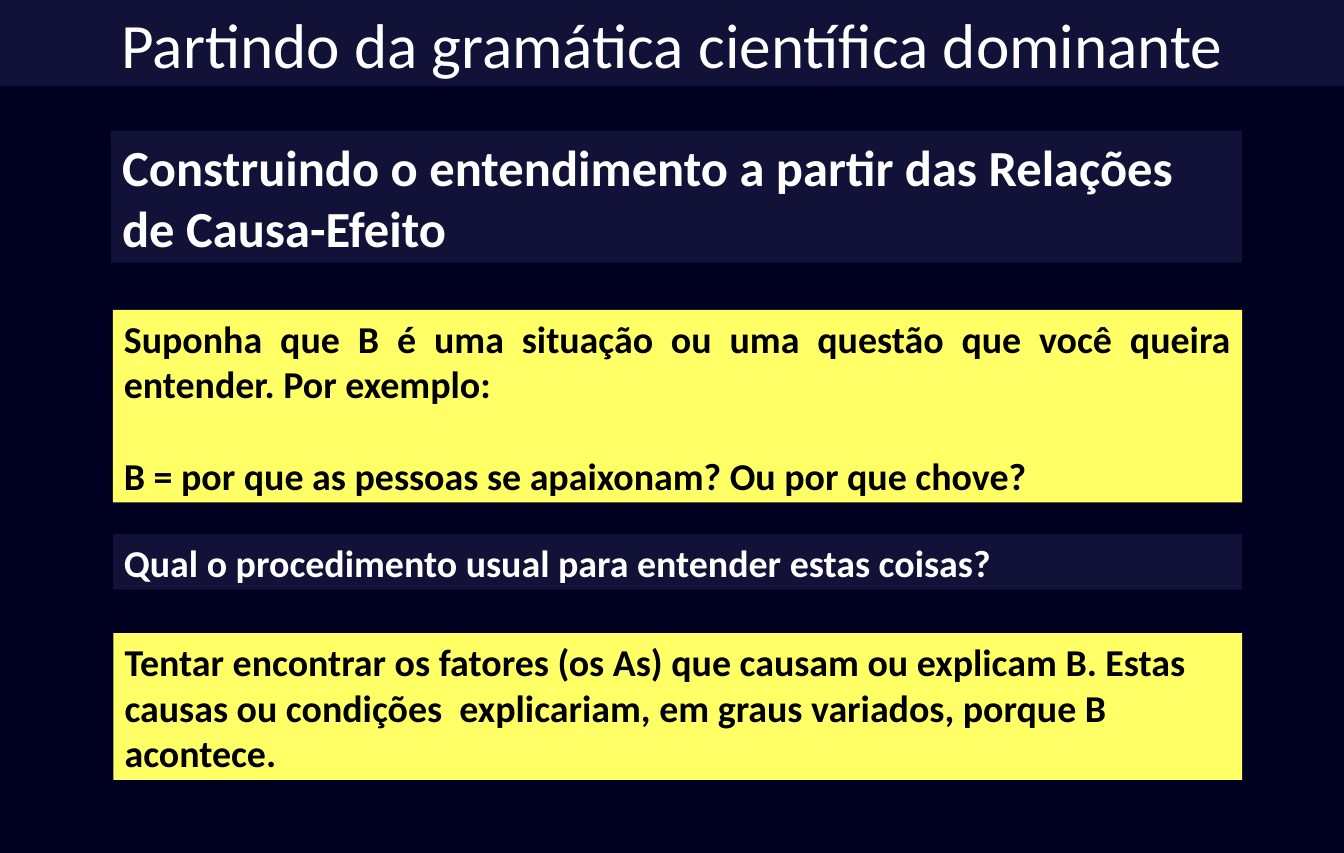
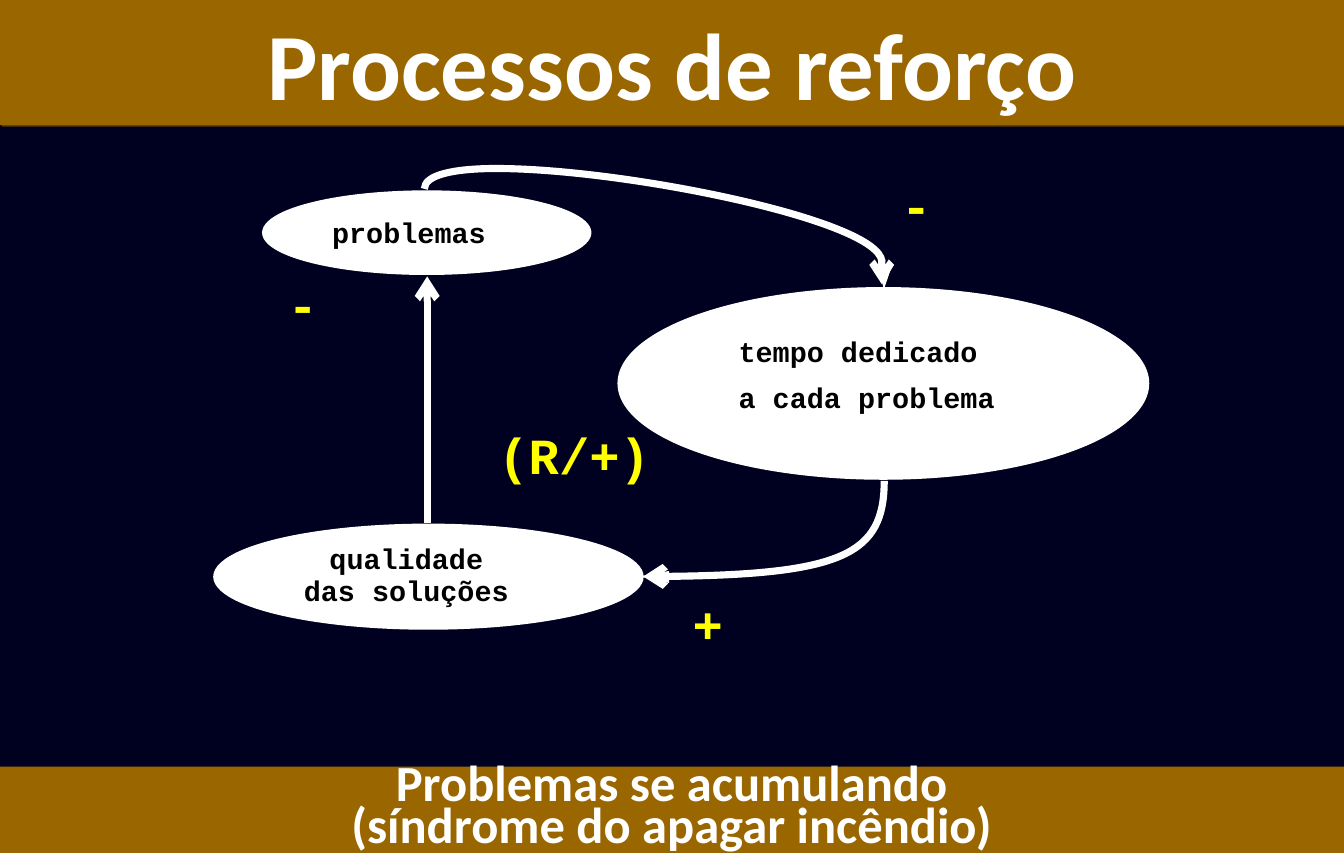
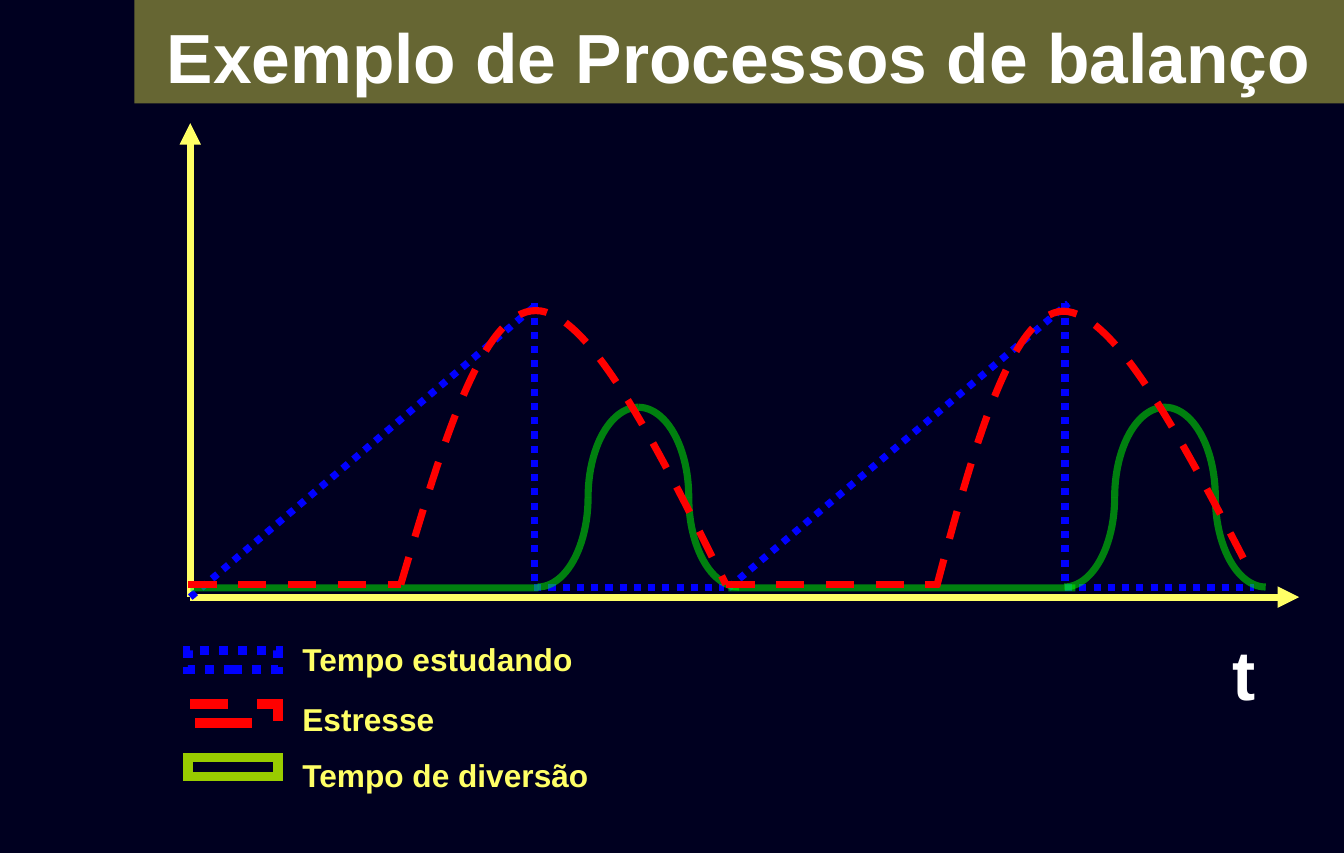
from dataclasses import dataclass

from lxml.etree import SubElement
from pptx import Presentation
from pptx.dml.color import RGBColor as RGB
from pptx.enum.dml import MSO_LINE as Dash
from pptx.enum.shapes import MSO_CONNECTOR as Connector, MSO_SHAPE as Shape
from pptx.enum.text import MSO_ANCHOR as Anchor, MSO_AUTO_SIZE as AutoSize, PP_ALIGN as Align
from pptx.oxml.ns import qn
from pptx.util import Pt


@dataclass(frozen=True)
class Theme:
    background: RGB = RGB(0x00, 0x00, 0x20)
    navy: RGB = RGB(0x12, 0x12, 0x38)
    brown: RGB = RGB(0x99, 0x66, 0x00)
    olive: RGB = RGB(0x66, 0x66, 0x33)
    cream: RGB = RGB(0xFF, 0xFF, 0x66)
    yellow: RGB = RGB(0xFF, 0xFF, 0x00)
    white: RGB = RGB(0xFF, 0xFF, 0xFF)
    black: RGB = RGB(0x00, 0x00, 0x00)
    blue: RGB = RGB(0x00, 0x00, 0xFF)
    red: RGB = RGB(0xFF, 0x00, 0x00)
    green: RGB = RGB(0x00, 0xFF, 0x00)
    lime: RGB = RGB(0x99, 0xCC, 0x00)
    title_shadow: str = "5B3C00"
    sans: str = "Calibri"
    mono: str = "Courier New"
    chart: str = "Arial"
    title: int = 40
    big_title: int = 60
    chart_title: int = 44
    heading: int = 32
    body: int = 24
    legend: int = 20
    node: int = 18
    stroke: float = 4.5
    swatch_stroke: int = 6


theme = Theme()
WIDTH, HEIGHT = 850.4, 540


def write(shape, text, font, size, color, fill=None, bold=True,
          align=Align.LEFT, anchor=Anchor.TOP, wrap=True):
    """Put formatted text in a shape, one paragraph per line, over an optional fill."""
    if fill is not None:
        shape.fill.solid()
        shape.fill.fore_color.rgb = fill
    frame = shape.text_frame
    frame.text = text
    frame.word_wrap = wrap
    frame.auto_size = AutoSize.NONE
    frame.vertical_anchor = anchor
    frame.margin_left = frame.margin_right = Pt(7)
    frame.margin_top = frame.margin_bottom = Pt(3.6)
    for paragraph in frame.paragraphs:
        paragraph.alignment = align
        for run in paragraph.runs:
            run.font.name = font
            run.font.size = Pt(size)
            run.font.bold = bold
            run.font.color.rgb = color


def draw_path(slide, points, color, dash=None, head=None, opacity=None):
    """Draw a straight line through two points, or a chain of cubic curves:
    start, then two controls and an end for each curve."""
    points = [(Pt(x), Pt(y)) for x, y in points]
    if len(points) == 2:
        path = slide.shapes.add_connector(Connector.STRAIGHT, *points[0], *points[1])
    else:
        builder = slide.shapes.build_freeform(*points[0])
        builder.add_line_segments(points[3::3], close=False)
        path = builder.convert_to_shape()
        path.fill.background()
        outline_path = path._element.spPr.find(".//" + qn("a:path"))
        for i, segment in enumerate(outline_path.findall(qn("a:lnTo"))):
            outline_path.remove(segment)
            curve = SubElement(outline_path, qn("a:cubicBezTo"))
            for x, y in points[3 * i + 1:3 * i + 4]:
                SubElement(curve, qn("a:pt"), x=str(x - path.left), y=str(y - path.top))
    path.line.color.rgb = color
    path.line.width = Pt(theme.stroke)
    if dash is not None:
        path.line.dash_style = dash
    properties = path._element.spPr
    outline = properties.find(qn("a:ln"))
    if opacity is not None:
        SubElement(outline.find(".//" + qn("a:srgbClr")), qn("a:alpha"), val=str(opacity * 1000))
    if head is not None:
        SubElement(outline, qn("a:tailEnd"), type=head)
    SubElement(properties, qn("a:effectLst"))


presentation = Presentation()
presentation.slide_width, presentation.slide_height = Pt(WIDTH), Pt(HEIGHT)
backdrop = presentation.slide_master.background.fill
backdrop.solid()
backdrop.fore_color.rgb = theme.background

# Slides and their title bands
TITLES = [
    ("Partindo da gramática científica dominante",
     0, 54.7, theme.navy, theme.sans, theme.title, False, 1),
    ("Processos de reforço", 0, 79.2, theme.brown, theme.sans, theme.big_title, True, 1),
    ("Exemplo de Processos de balanço",
     85, 65.5, theme.olive, theme.chart, theme.chart_title, True, 1.1),
]
slides = []
for text, left, height, fill, font, size, bold, spacing in TITLES:
    slide = presentation.slides.add_slide(presentation.slide_layouts[5])
    title = slide.shapes.title
    title.left, title.top = Pt(left), Pt(0)
    title.width, title.height = Pt(WIDTH - left), Pt(height)
    write(title, text, font, size, theme.white, fill, bold, Align.CENTER)
    title.text_frame.paragraphs[0].line_spacing = spacing
    slides.append(slide)
grammar, reinforcement, balance = slides

# Slide 1: question and answer panels
PANEL_RIGHT = 786
PANELS = [
    (70.3, 82.8, 83.5, "Construindo o entendimento a partir das Relações de Causa-Efeito",
     theme.heading, theme.white, theme.navy, Align.LEFT),
    (71.4, 196.2, 121.8, "Suponha que B é uma situação ou uma questão que você queira entender. "
     "Por exemplo:\nB = por que as pessoas se apaixonam? Ou por que chove?",
     theme.body, theme.black, theme.cream, Align.JUSTIFY),
    (71.4, 338, 35.3, "Qual o procedimento usual para entender estas coisas?",
     theme.body, theme.white, theme.navy, Align.LEFT),
    (71.8, 400.8, 92.9, "Tentar encontrar os fatores (os As) que causam ou explicam B. Estas "
     "causas ou condições  explicariam, em graus variados, porque B acontece.",
     theme.body, theme.black, theme.cream, Align.LEFT),
]
for left, top, height, text, size, color, fill, align in PANELS:
    panel = grammar.shapes.add_shape(
        Shape.RECTANGLE, Pt(left), Pt(top), Pt(PANEL_RIGHT - left), Pt(height))
    panel.shadow.inherit = False
    panel.line.fill.background()
    write(panel, text, theme.sans, size, color, fill, align=align)
    for paragraph in panel.text_frame.paragraphs[1:]:
        paragraph.space_before = Pt(29)

# Slide 2: reinforcing loop
band_shadow = SubElement(
    SubElement(reinforcement.shapes.title._element.spPr, qn("a:effectLst")),
    qn("a:outerShdw"), dist=str(Pt(1.4)), dir="2700000")
SubElement(band_shadow, qn("a:srgbClr"), val=theme.title_shadow)

conclusion = reinforcement.shapes.add_shape(
    Shape.RECTANGLE, Pt(0), Pt(485.3), Pt(WIDTH), Pt(54.7))
conclusion.shadow.inherit = False
conclusion.line.fill.background()
write(conclusion, "Problemas se acumulando\n(síndrome do apagar incêndio)", theme.sans,
      theme.heading, theme.white, theme.brown, align=Align.CENTER, anchor=Anchor.MIDDLE)
for paragraph in conclusion.text_frame.paragraphs:
    paragraph.line_spacing = 0.7

# text, box, alignment, left, right and bottom margins, line spacing, gap between lines
NODES = [
    ("problemas", (166.3, 121, 207.4, 52.6), Align.CENTER, 0, 22.5, 1.3, 1, 0),
    ("qualidade\ndas soluções", (135.4, 332, 271.4, 66.2), Align.CENTER, 0, 28, 1.3, 0.94, 0),
    ("tempo dedicado\na cada problema", (391.2, 182.2, 335.5, 121),
     Align.LEFT, 27, 0, 11.8, 1, 7.4),
]
for text, box, align, left, right, bottom, spacing, gap in NODES:
    node = reinforcement.shapes.add_shape(Shape.OVAL, *(Pt(v) for v in box))
    node.shadow.inherit = False
    node.line.color.rgb = theme.white
    node.line.width = Pt(1)
    write(node, text, theme.mono, theme.node, theme.black, theme.white,
          align=align, anchor=Anchor.MIDDLE)
    frame = node.text_frame
    frame.margin_left, frame.margin_right = Pt(left), Pt(right)
    frame.margin_top, frame.margin_bottom = Pt(0), Pt(bottom)
    for paragraph in frame.paragraphs:
        paragraph.line_spacing = spacing
    for paragraph in frame.paragraphs[1:]:
        paragraph.space_before = Pt(gap)

INFLUENCES = [
    [(268.5, 119.6), (268.5, 110.8), (287, 106.7), (314, 106.7),
     (395.4, 106.7), (558, 139.8), (558, 166), (558, 171), (558, 175), (558, 180)],
    [(559.5, 304.5), (559.5, 351), (531, 365), (407, 365)],
    [(270.3, 331), (270.3, 175)],
]
for points in INFLUENCES:
    draw_path(reinforcement, points, theme.white, head="arrow")

ARROW_TIPS = [
    [(564, 168), (559.4, 181.4), (556, 168)],
    [(423, 368.5), (407, 365), (423, 362)],
]
for corners in ARROW_TIPS:
    first, *others = [(Pt(x), Pt(y)) for x, y in corners]
    builder = reinforcement.shapes.build_freeform(*first)
    builder.add_line_segments(others)
    tip = builder.convert_to_shape()
    tip.shadow.inherit = False
    tip.fill.solid()
    tip.fill.fore_color.rgb = tip.line.color.rgb = theme.white
    tip.line.width = Pt(1)

SIGNS = [("(R/+)", 308.3, 265, 110), ("-", 563.2, 106.5, 34),
         ("-", 175, 169, 34), ("+", 431.3, 372, 34)]
for text, left, top, width in SIGNS:
    sign = reinforcement.shapes.add_textbox(Pt(left), Pt(top), Pt(width), Pt(45.4))
    write(sign, text, theme.mono, theme.heading, theme.yellow, wrap=False)

# Slide 3: schematic curves over time
ORIGIN = (120.4, 378)
for axis_end in ((120.4, 78), (822, 378)):
    draw_path(balance, [ORIGIN, axis_end], theme.cream, head="triangle")

LEGEND = [
    ("Tempo estudando", 401.8, theme.blue, Dash.ROUND_DOT),
    ("Estresse", 439.3, theme.red, Dash.DASH),
    ("Tempo de diversão", 475, theme.lime, None),
]
for row, (text, top, color, dash) in enumerate(LEGEND):
    swatch = balance.shapes.add_shape(
        Shape.RECTANGLE, Pt(119), Pt(411.8 + 33.9 * row), Pt(56.9), Pt(12.2))
    swatch.shadow.inherit = False
    swatch.fill.background()
    swatch.line.color.rgb = color
    swatch.line.width = Pt(theme.swatch_stroke)
    if dash is not None:
        swatch.line.dash_style = dash
    SubElement(swatch._element.spPr.find(qn("a:ln")), qn("a:miter"), lim="800000")
    entry = balance.shapes.add_textbox(Pt(184.3), Pt(top), Pt(219.6), Pt(31.7))
    write(entry, text, theme.chart, theme.legend, theme.cream)

time_label = balance.shapes.add_textbox(Pt(772.6), Pt(396), Pt(21.6), Pt(60.5))
write(time_label, "t", theme.chart, theme.chart_title, theme.white, wrap=False)

PEAK, BASE = 192, 372.2
STUDY = [
    [ORIGIN, (340.6, PEAK)], [(338, PEAK), (338, BASE)], [(338, BASE), (457.9, BASE)],
    [(460.8, BASE), (676, PEAK)], [(673.9, PEAK), (673.9, BASE)], [(673.9, BASE), (793.4, BASE)],
]
for points in STUDY:
    draw_path(balance, points, theme.blue, Dash.ROUND_DOT)

# Each bell is four quarter arcs: column of the ellipse, start and end in degrees
BELL_ARCS = [(0, 0, 90), (1, 180, 270), (1, 270, 0), (2, 90, 180)]
ARC_WIDTH, ARC_HEIGHT, ARC_TOP = 63.7, 113.8, 257.8
for flat_start, flat_end, arcs_left in ((120.4, 340.6, 308.4), (460.8, 680.4, 641.6)):
    draw_path(balance, [(flat_start, BASE), (flat_end, BASE)], theme.green, opacity=50)
    for column, start, end in BELL_ARCS:
        arc = balance.shapes.add_shape(
            Shape.ARC, Pt(arcs_left + ARC_WIDTH * column), Pt(ARC_TOP),
            Pt(ARC_WIDTH), Pt(ARC_HEIGHT))
        arc.adjustments[0], arc.adjustments[1] = start * 0.6, end * 0.6
        arc.shadow.inherit = False
        arc.fill.background()
        arc.line.color.rgb = theme.green
        arc.line.width = Pt(theme.stroke)
        tint = arc._element.spPr.find(qn("a:ln")).find(".//" + qn("a:srgbClr"))
        SubElement(tint, qn("a:alpha"), val="50000")

STRESS = [
    [(119, 370), (253.6, 370)],
    [(253.6, 370), (279.4, 283), (304.6, 196.6), (339, 196.6),
     (373, 196.6), (416, 283), (459.4, 370)],
    [(459.4, 370), (594, 370)],
    [(592.6, 371.5), (615.6, 285), (639.4, 198.7), (672.5, 197),
     (705.6, 197), (748.8, 280), (792, 363.6)],
]
for points in STRESS:
    draw_path(balance, points, theme.red, Dash.DASH)

presentation.save("out.pptx")
